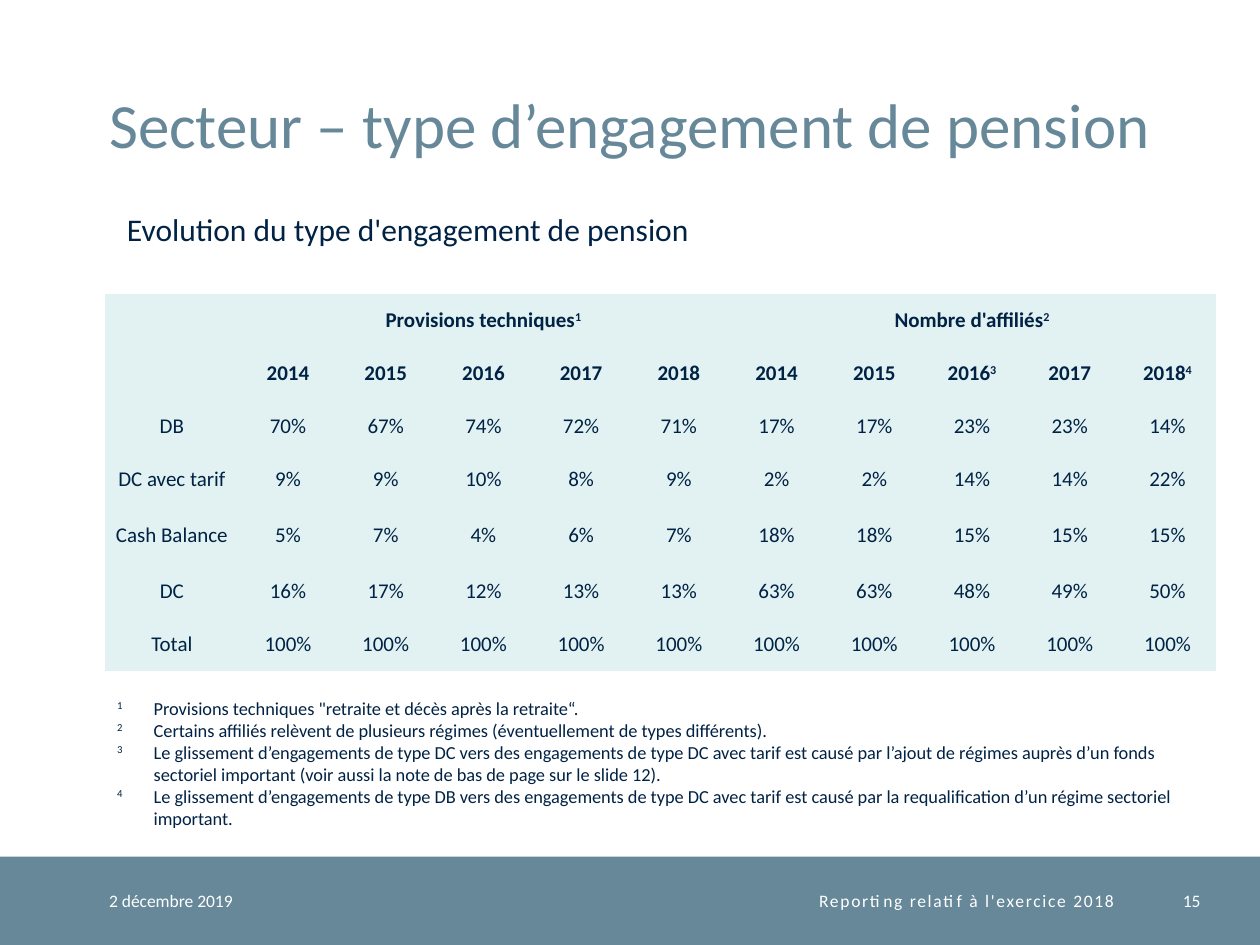
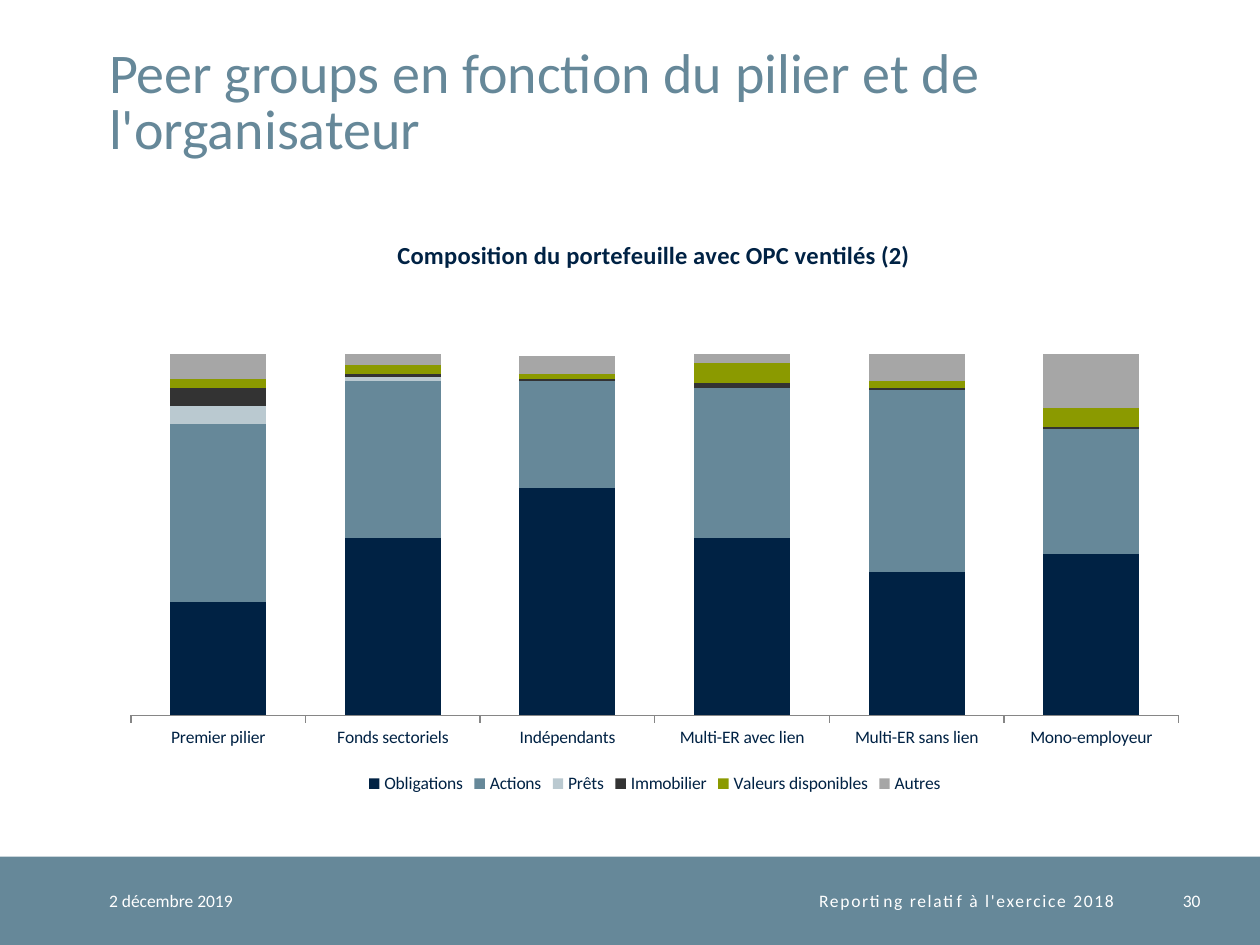
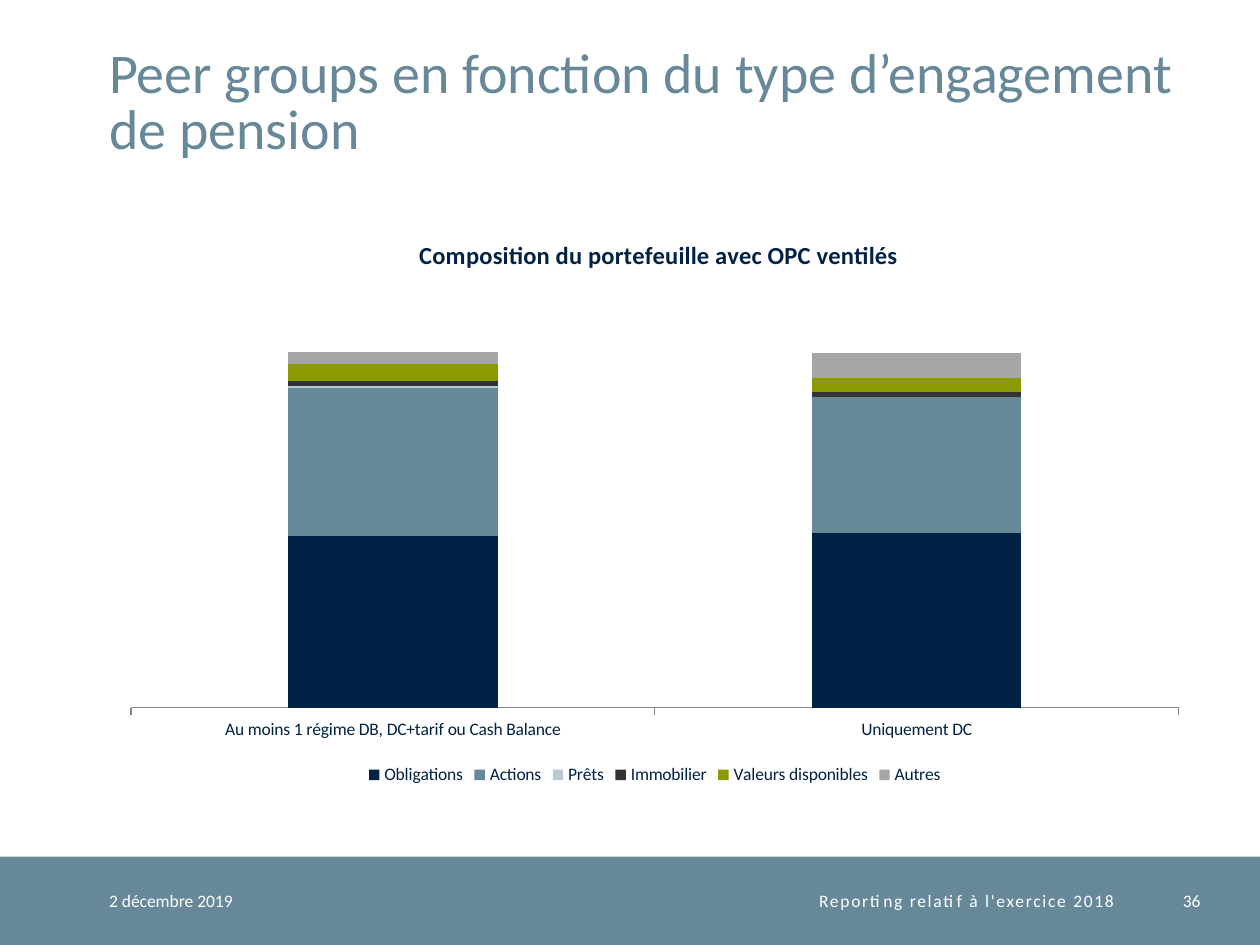
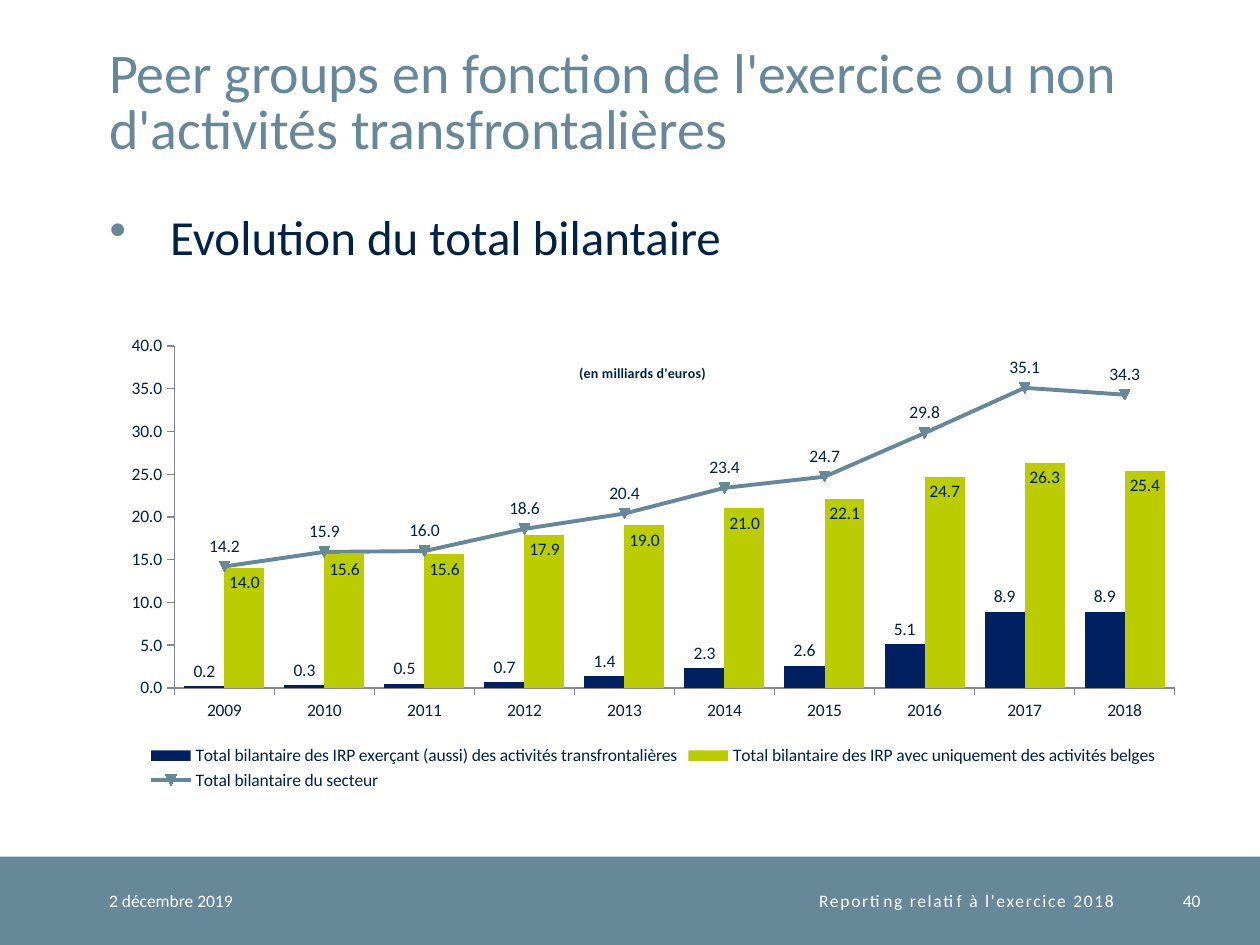
from dataclasses import dataclass

from lxml import etree
from pptx import Presentation, util as u
from pptx.chart import data as chart_data
from pptx.dml.color import RGBColor
from pptx.enum import chart as charts, shapes, text
from pptx.oxml import ns


@dataclass(frozen=True)
class Theme:
    font: str = "Calibri"
    navy: str = "002244"
    slate: str = "668899"
    mist: str = "E2F2F2"
    pale: str = "BAC9D0"
    charcoal: str = "333333"
    olive: str = "8B9A00"
    gray: str = "A6A6A6"
    axis: str = "868686"
    blue: str = "002060"
    lime: str = "BBCC00"
    white: str = "FFFFFF"
    title_size: float = 32
    large_title_size: float = 36
    title_leading: float = 32
    bullet_size: float = 28
    subtitle_size: float = 18
    chart_title_size: float = 14
    table_size: float = 12
    note_size: float = 10.5
    small_size: float = 10
    unit_size: float = 8


THEME = Theme()
SLIDE_SIZE = (25.4, 19.05)
BAND = (0, 17.27, 25.4, 1.78)
TITLE = (2.2, 0.51, 21.92, 2.74)
DATE = "2 décembre 2019"
FOOTER = "Reporting relatif à l'exercice 2018"

TABLE_SLIDE = {
    "title": "Secteur – type d’engagement de pension",
    "number": 15,
    "subtitle": "Evolution du type d'engagement de pension",
    "groups": ["Provisions techniques^1", "Nombre d'affiliés^2"],
    "years": ["2014", "2015", "2016", "2017", "2018", "2014", "2015", "2016^3", "2017", "2018^4"],
    "rows": [
        ("DB", [70, 67, 74, 72, 71, 17, 17, 23, 23, 14]),
        ("DC avec tarif", [9, 9, 10, 8, 9, 2, 2, 14, 14, 22]),
        ("Cash Balance", [5, 7, 4, 6, 7, 18, 18, 15, 15, 15]),
        ("DC", [16, 17, 12, 13, 13, 63, 63, 48, 49, 50]),
        ("Total", [100] * 10),
    ],
    "notes": [
        "Provisions techniques \"retraite et décès après la retraite“.",
        "Certains affiliés relèvent de plusieurs régimes (éventuellement de types différents).",
        "Le glissement d’engagements de type DC vers des engagements de type DC avec tarif est causé "
        "par l’ajout de régimes auprès d’un fonds sectoriel important (voir aussi la note de bas de "
        "page sur le slide 12).",
        "Le glissement d’engagements de type DB vers des engagements de type DC avec tarif est causé "
        "par la requalification d’un régime sectoriel important.",
    ],
}

ASSETS = [
    ("Obligations", THEME.navy),
    ("Actions", THEME.slate),
    ("Prêts", THEME.pale),
    ("Immobilier", THEME.charcoal),
    ("Valeurs disponibles", THEME.olive),
    ("Autres", THEME.gray),
]
PORTFOLIO_SLIDES = [
    {
        "title": "Peer groups en fonction du pilier et de l'organisateur",
        "number": 30,
        "chart_title": "Composition du portefeuille avec OPC ventilés (2)",
        "title_at": (0.26, 0.05),
        "height": 11.99,
        "gap": 82,
        "portfolios": {
            "Premier pilier": [50, 78, 8, 8, 4, 11],
            "Fonds sectoriels": [78, 69, 2, 1, 4, 5],
            "Indépendants": [100, 47, 0, 1, 2, 8],
            "Multi-ER avec lien": [78, 66, 0, 2, 9, 4],
            "Multi-ER sans lien": [63, 80, 0, 1, 3, 12],
            "Mono-employeur": [71, 55, 0, 1, 8, 24],
        },
    },
    {
        "title": "Peer groups en fonction du type d’engagement de pension",
        "number": 36,
        "chart_title": "Composition du portefeuille avec OPC ventilés",
        "title_at": (0.28, 0.05),
        "height": 11.81,
        "gap": 150,
        "portfolios": {
            "Au moins 1 régime DB, DC+tarif ou Cash Balance": [98, 85, 1, 3, 10, 7],
            "Uniquement DC": [100, 78, 0, 3, 8, 14],
        },
    },
]

BALANCE_SLIDE = {
    "title": "Peer groups en fonction de l'exercice ou non d'activités transfrontalières",
    "number": 40,
    "bullet": "Evolution du total bilantaire",
    "chart_title": "(en milliards d'euros)",
    "years": [str(year) for year in range(2009, 2019)],
    "bars": [
        ("Total bilantaire des IRP exerçant (aussi) des activités transfrontalières", THEME.blue,
         "OUTSIDE_END", [0.2, 0.3, 0.5, 0.7, 1.4, 2.3, 2.6, 5.1, 8.9, 8.9]),
        ("Total bilantaire des IRP avec uniquement des activités belges", THEME.lime,
         "INSIDE_END", [14.0, 15.6, 15.6, 17.9, 19.0, 21.0, 22.1, 24.7, 26.3, 25.4]),
    ],
    "line": ("Total bilantaire du secteur", THEME.slate,
             "ABOVE", [14.2, 15.9, 16.0, 18.6, 20.4, 23.4, 24.7, 29.8, 35.1, 34.3]),
}


def lengths(box):
    return [u.Cm(value) for value in box]


def color(value):
    return RGBColor.from_string(value)


def style_font(font, size, shade=THEME.navy, bold=False):
    font.name = THEME.font
    font.size = u.Pt(size)
    font.color.rgb = color(shade)
    font.bold = bold


def write(paragraph, content, size, shade=THEME.navy, align=text.PP_ALIGN.LEFT, bold=False):
    for index, part in enumerate(content.split("^")):
        if part:
            run = paragraph.add_run()
            run.text = part
            if index % 2:
                run._r.get_or_add_rPr().set("baseline", "30000")
    paragraph.alignment = align
    style_font(paragraph.font, size, shade, bold)


def clear_margins(target):
    target.margin_left = target.margin_right = target.margin_top = target.margin_bottom = 0


def indent(paragraph, left, hanging):
    properties = paragraph._p.get_or_add_pPr()
    properties.set("marL", str(u.Cm(left)))
    properties.set("indent", str(-u.Cm(hanging)))
    return properties


def add_text(slide, box, lines, size, shade=THEME.navy, align=text.PP_ALIGN.LEFT, padded=False,
             anchor=text.MSO_ANCHOR.TOP):
    frame = slide.shapes.add_textbox(*lengths(box)).text_frame
    frame.word_wrap = True
    frame.vertical_anchor = anchor
    if not padded:
        clear_margins(frame)
    for index, line in enumerate(lines):
        paragraph = frame.add_paragraph() if index else frame.paragraphs[0]
        write(paragraph, line, size, shade, align)
    return frame


def add_band(presentation, slide):
    band = slide.shapes.add_shape(shapes.MSO_SHAPE.RECTANGLE, *lengths(BAND))
    band.shadow.inherit = False
    band.fill.solid()
    band.fill.fore_color.rgb = color(THEME.slate)
    band.line.fill.background()
    presentation.slide_master.shapes.element.insert(2, band.element)


def add_footer(slide, number):
    top, height = BAND[1], BAND[3]
    for left, width, content, align in [
        (2.2, 4.5, DATE, text.PP_ALIGN.LEFT),
        (6.71, 15.75, FOOTER, text.PP_ALIGN.RIGHT),
        (22.96, 1.24, str(number), text.PP_ALIGN.RIGHT),
    ]:
        frame = add_text(slide, (left, top, width, height), [content], THEME.small_size, THEME.white,
                         align, anchor=text.MSO_ANCHOR.MIDDLE)
        if content == FOOTER:
            frame.paragraphs[0].runs[0]._r.get_or_add_rPr().set("spc", "100")


def start_slide(presentation, content, title_size=THEME.title_size):
    slide = presentation.slides.add_slide(presentation.slide_layouts[5])
    title = slide.shapes.title
    title.left, title.top, title.width, title.height = lengths(TITLE)
    frame = title.text_frame
    frame.word_wrap = True
    frame.auto_size = text.MSO_AUTO_SIZE.NONE
    frame.vertical_anchor = text.MSO_ANCHOR.BOTTOM
    clear_margins(frame)
    write(frame.paragraphs[0], content["title"], title_size, THEME.slate)
    frame.paragraphs[0].line_spacing = u.Pt(THEME.title_leading)
    add_footer(slide, content["number"])
    return slide


def add_commitment_table(slide, content):
    group_size = len(content["years"]) // len(content["groups"])
    header = [""] * (len(content["years"]) + 1)
    for index, group in enumerate(content["groups"]):
        header[1 + index * group_size] = group
    grid = [header, [""] + content["years"]]
    grid += [[label] + [f"{value}%" for value in values] for label, values in content["rows"]]
    box = lengths((2.11, 5.92, 22.41, 7.61))
    table = slide.shapes.add_table(len(grid), len(header), *box).table
    table.first_row = table.horz_banding = False
    table._tbl.tblPr.find(ns.qn("a:tableStyleId")).text = "{2D5ABB26-0587-4C30-8999-92F81FD0307C}"
    for index, column in enumerate(table.columns):
        column.width = u.Cm(1.97 if index else 2.71)
    for index, row in enumerate(table.rows):
        row.height = u.Cm(1.19 if grid[index][0] == "Cash Balance" else 1.07)
        for cell, value in zip(row.cells, grid[index]):
            cell.fill.solid()
            cell.fill.fore_color.rgb = color(THEME.mist)
            cell.vertical_anchor = text.MSO_ANCHOR.MIDDLE
            clear_margins(cell)
            write(cell.text_frame.paragraphs[0], value, THEME.table_size,
                  align=text.PP_ALIGN.CENTER, bold=index < 2)
    table.cell(0, 0).merge(table.cell(1, 0))
    for first in range(1, len(header), group_size):
        table.cell(0, first).merge(table.cell(0, first + group_size - 1))


def build_table_slide(presentation, content):
    slide = start_slide(presentation, content, THEME.large_title_size)
    add_commitment_table(slide, content)
    add_text(slide, (2.31, 4.11, 21.41, 1.02), [content["subtitle"]], THEME.subtitle_size, padded=True)
    notes = [f"^{number}^\t{note}" for number, note in enumerate(content["notes"], 1)]
    frame = add_text(slide, (2.11, 13.92, 22.2, 2.95), notes, THEME.note_size, padded=True)
    for paragraph in frame.paragraphs:
        indent(paragraph, 0.74, 0.74)
    return slide


def set_layout(parent, index, inner=False, **fractions):
    for old in parent.findall(ns.qn("c:layout")):
        parent.remove(old)
    layout = etree.Element(ns.qn("c:layout"))
    manual = etree.SubElement(layout, ns.qn("c:manualLayout"))
    settings = {"layoutTarget": "inner"} if inner else {}
    settings.update(xMode="edge", yMode="edge", **fractions)
    for name, value in settings.items():
        etree.SubElement(manual, ns.qn(f"c:{name}")).set("val", str(value))
    parent.insert(index, layout)


def add_column_chart(slide, kind, box, categories, series, gap, title, title_size, title_at, plot_at):
    chart_content = chart_data.CategoryChartData()
    chart_content.categories = categories
    for name, values in series:
        chart_content.add_series(name, values)
    chart = slide.shapes.add_chart(kind, *lengths(box), chart_content).chart
    style_font(chart.font, THEME.small_size)
    chart.has_title = True
    paragraph = chart.chart_title.text_frame.paragraphs[0]
    write(paragraph, title, title_size, align=text.PP_ALIGN.CENTER, bold=True)
    set_layout(chart.chart_title._element, 1, x=title_at[0], y=title_at[1])
    set_layout(chart._chartSpace.chart.plotArea, 0, inner=True, **dict(zip("xywh", plot_at)))
    chart.has_legend = True
    chart.legend.position = charts.XL_LEGEND_POSITION.BOTTOM
    chart.legend.include_in_layout = False
    chart.plots[0].gap_width = gap
    chart.plots[0].vary_by_categories = False
    chart.value_axis.has_major_gridlines = False
    for axis in (chart.category_axis, chart.value_axis):
        axis.major_tick_mark = charts.XL_TICK_MARK.OUTSIDE
        axis.minor_tick_mark = charts.XL_TICK_MARK.NONE
        axis.format.line.color.rgb = color(THEME.axis)
    return chart


def fill_series(series, shade):
    series.format.fill.solid()
    series.format.fill.fore_color.rgb = color(shade)
    series.invert_if_negative = False


def build_portfolio_slide(presentation, content):
    slide = start_slide(presentation, content)
    portfolios = content["portfolios"]
    names = [name for name, _ in ASSETS]
    chart = add_column_chart(
        slide, charts.XL_CHART_TYPE.COLUMN_STACKED, (2.2, 4.11, 22, content["height"]),
        list(portfolios), list(zip(names, zip(*portfolios.values()))), content["gap"],
        content["chart_title"], THEME.chart_title_size, content["title_at"], (0.02, 0.13, 0.96, 0.73))
    chart.plots[0].overlap = 100
    chart.value_axis.visible = False
    chart.value_axis.minimum_scale = 0
    chart.value_axis.maximum_scale = round(1.2 * max(sum(values) for values in portfolios.values()))
    for series, (_, shade) in zip(chart.plots[0].series, ASSETS):
        fill_series(series, shade)


def move_last_series_to_line(chart):
    bar_chart = chart._chartSpace.chart.plotArea.find(ns.qn("c:barChart"))
    series = bar_chart.findall(ns.qn("c:ser"))[-1]
    for flag in series.findall(ns.qn("c:invertIfNegative")):
        series.remove(flag)
    line_chart = bar_chart.makeelement(ns.qn("c:lineChart"))
    etree.SubElement(line_chart, ns.qn("c:grouping")).set("val", "stacked")
    etree.SubElement(line_chart, ns.qn("c:varyColors")).set("val", "0")
    line_chart.append(series)
    etree.SubElement(line_chart, ns.qn("c:marker")).set("val", "1")
    for axis in bar_chart.findall(ns.qn("c:axId")):
        etree.SubElement(line_chart, ns.qn("c:axId")).set("val", axis.get("val"))
    bar_chart.addnext(line_chart)


def style_line(series, shade):
    series.smooth = False
    series.format.line.color.rgb = color(shade)
    series.format.line.width = u.Pt(2.25)
    series.marker.style = charts.XL_MARKER_STYLE.AUTOMATIC
    series.marker.size = 6
    series.marker.format.fill.solid()
    series.marker.format.fill.fore_color.rgb = color(shade)
    series.marker.format.line.color.rgb = color(shade)


def label_series(series, position):
    labels = series.data_labels
    labels.show_value = True
    labels.number_format = "#,##0.0"
    labels.number_format_is_linked = False
    labels.position = charts.XL_LABEL_POSITION[position]
    style_font(labels.font, THEME.small_size)


def build_balance_slide(presentation, content):
    slide = start_slide(presentation, content)
    frame = add_text(slide, (1.19, 4.27, 22.94, 11.76), [content["bullet"]], THEME.bullet_size)
    paragraph = frame.paragraphs[0]
    paragraph.line_spacing = u.Pt(30.8)
    paragraph.space_after = u.Pt(6)
    properties = indent(paragraph, 2.24, 1.22)
    bullet = etree.Element(ns.qn("a:buClr"))
    etree.SubElement(bullet, ns.qn("a:srgbClr")).set("val", THEME.slate)
    character = etree.Element(ns.qn("a:buChar"), char="•")
    position = list(properties).index(properties.find(ns.qn("a:spcAft"))) + 1
    properties[position:position] = [bullet, character]

    measures = content["bars"] + [content["line"]]
    chart = add_column_chart(
        slide, charts.XL_CHART_TYPE.COLUMN_CLUSTERED, (2.2, 5.74, 21.92, 10.29), content["years"],
        [(name, values) for name, _, _, values in measures], 50, content["chart_title"],
        THEME.unit_size, (0.43, 0.15), (0.06, 0.12, 0.92, 0.67))
    chart.chart_title._element.find(ns.qn("c:overlay")).set("val", "1")
    axis = chart.value_axis
    axis.minimum_scale, axis.maximum_scale, axis.major_unit = 0, 40, 5
    axis.tick_labels.number_format = "0.0"
    axis.tick_labels.number_format_is_linked = False
    move_last_series_to_line(chart)
    bars, lines = chart.plots
    for series, (_, shade, position, _) in zip(bars.series, content["bars"]):
        fill_series(series, shade)
        label_series(series, position)
    _, shade, position, _ = content["line"]
    style_line(lines.series[0], shade)
    label_series(lines.series[0], position)


def main():
    presentation = Presentation()
    presentation.slide_width, presentation.slide_height = lengths(SLIDE_SIZE)
    first_slide = build_table_slide(presentation, TABLE_SLIDE)
    add_band(presentation, first_slide)
    for content in PORTFOLIO_SLIDES:
        build_portfolio_slide(presentation, content)
    build_balance_slide(presentation, BALANCE_SLIDE)
    presentation.save("out.pptx")


if __name__ == "__main__":
    main()
